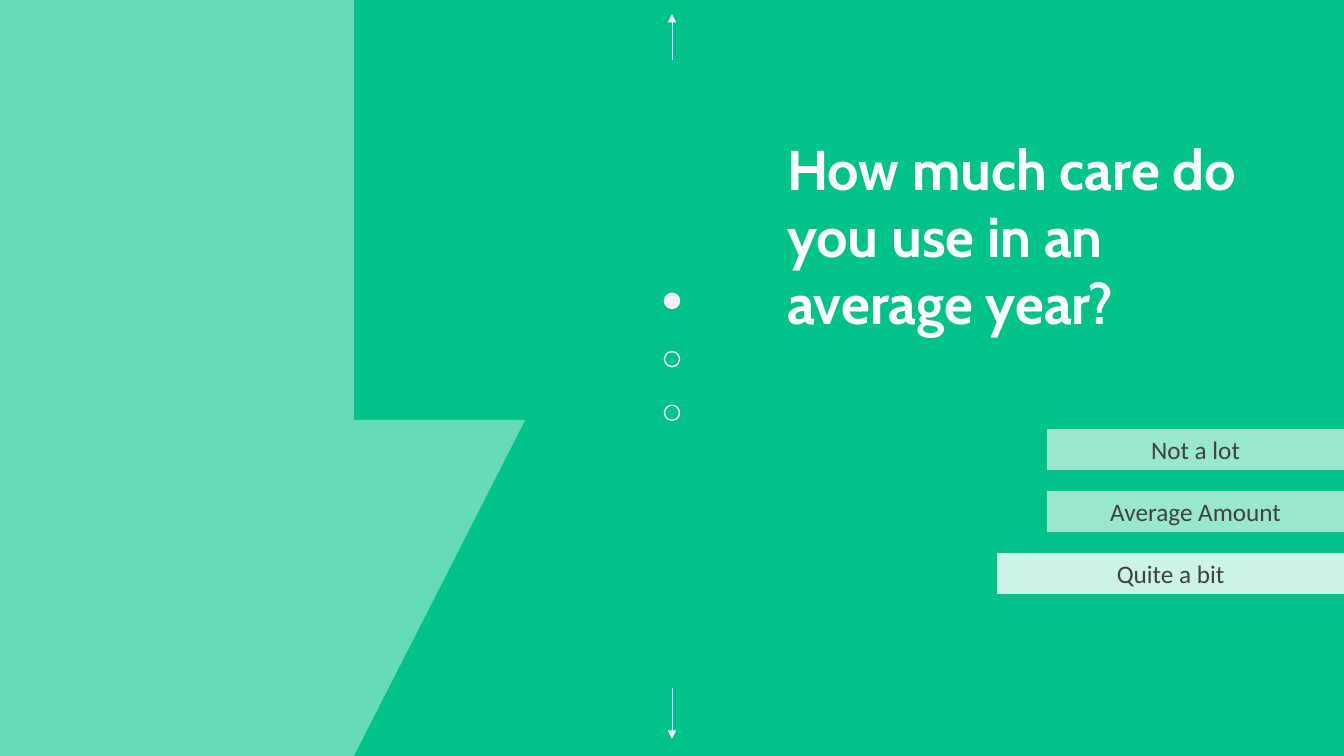
from dataclasses import dataclass

from lxml.etree import SubElement
from pptx import Presentation
from pptx.dml.color import RGBColor
from pptx.enum.shapes import MSO_CONNECTOR, MSO_SHAPE
from pptx.enum.text import MSO_ANCHOR, MSO_AUTO_SIZE, PP_ALIGN
from pptx.oxml.ns import qn
from pptx.util import Inches, Pt


@dataclass(frozen=True)
class Theme:
    """Colours, fonts and type sizes of the slide."""
    green: str = "00C389"
    mint: str = "66DBB8"
    white: str = "FFFFFF"
    dot: str = "F2F2F2"
    ink: str = "404040"
    title_font: str = "Cabin"
    answer_font: str = "Calibri"
    title_size: int = 40
    answer_size: int = 18


THEME = Theme()
WIDTH, HEIGHT = Inches(13.333), Inches(7.5)
CENTRE = 50
PANEL_WIDTH = 26.33


def col(columns):
    """Length of some of the slide's 100 columns."""
    return round(WIDTH * columns / 100)


def row(rows):
    """Length of some of the slide's 100 rows."""
    return round(HEIGHT * rows / 100)


def add_block(shapes, preset, left, top, width, height, fill=None, opacity=100):
    """Add a borderless preset shape, given in EMU; without fill it is hollow."""
    block = shapes.add_shape(preset, left, top, width, height)
    block.shadow.inherit = False
    block.line.fill.background()
    if fill is None:
        block.fill.background()
        return block
    block.fill.solid()
    block.fill.fore_color.rgb = RGBColor.from_string(fill)
    if opacity < 100:
        colour = block.element.spPr.find(qn("a:solidFill"))[0]
        SubElement(colour, qn("a:alpha"), val=str(opacity * 1000))
    return block


def add_words(paragraph, words, font, size, colour, bold=False):
    """Add one styled run to a paragraph."""
    run = paragraph.add_run()
    run.text = words
    run.font.name = font
    run.font.size = Pt(size)
    run.font.bold = bold
    run.font.color.rgb = RGBColor.from_string(colour)


def add_side_panel(shapes):
    """Add the pale panel with its wedge pointing down."""
    panel = shapes.add_group_shape().shapes
    add_block(panel, MSO_SHAPE.RECTANGLE, 0, 0, col(PANEL_WIDTH), HEIGHT,
              THEME.white, 40)
    wide, high = col(12.75), row(44.45)
    turn = (high - wide) // 2  # a quarter turn swaps width and height
    wedge = add_block(panel, MSO_SHAPE.RIGHT_TRIANGLE, col(PANEL_WIDTH) - turn,
                      HEIGHT - high + turn, high, wide, THEME.mint)
    wedge.rotation = 90


def add_question(shapes, lines):
    """Add the headline, one paragraph per line."""
    question = shapes.add_textbox(col(57.83), row(17.07), col(39.68), row(28.27))
    frame = question.text_frame
    frame.word_wrap = False
    frame.auto_size = MSO_AUTO_SIZE.SHAPE_TO_FIT_TEXT
    for index, line in enumerate(lines):
        paragraph = frame.add_paragraph() if index else frame.paragraphs[0]
        add_words(paragraph, line, THEME.title_font, THEME.title_size,
                  THEME.white, bold=True)


def add_answer(shapes, place, words, columns, opacity):
    """Add an answer bar that runs to the right edge."""
    answer = add_block(shapes, MSO_SHAPE.RECTANGLE, WIDTH - col(columns),
                       row(56.75 + 8.2 * place), col(columns), row(5.4),
                       THEME.white, opacity)
    answer.text_frame.vertical_anchor = MSO_ANCHOR.MIDDLE
    paragraph = answer.text_frame.paragraphs[0]
    paragraph.alignment = PP_ALIGN.CENTER
    add_words(paragraph, words, THEME.answer_font, THEME.answer_size, THEME.ink)


def add_scroll_arrow(shapes, start, end):
    """Add a thin arrow on the centre line, from one row to another."""
    arrow = shapes.add_connector(MSO_CONNECTOR.STRAIGHT, col(CENTRE), row(start),
                                 col(CENTRE), row(end))
    arrow.line.color.rgb = RGBColor.from_string(THEME.white)
    arrow.line.width = Pt(0.5)
    properties = arrow.element.spPr
    SubElement(properties.find(qn("a:ln")), qn("a:tailEnd"), type="triangle")
    SubElement(properties, qn("a:effectLst"))


def add_page_dots(shapes, middles, current):
    """Add the page dots on the centre line, the current one filled."""
    dots = shapes.add_group_shape().shapes
    size = row(2)
    for index, middle in enumerate(middles):
        dot = add_block(dots, MSO_SHAPE.OVAL, col(CENTRE) - size // 2,
                        row(middle) - size // 2, size, size,
                        THEME.dot if index == current else None)
        dot.line.color.rgb = RGBColor.from_string(THEME.white)
        dot.line.width = Pt(1)


def main():
    """Build the slide and save it."""
    deck = Presentation()
    deck.slide_width, deck.slide_height = WIDTH, HEIGHT
    shapes = deck.slides.add_slide(deck.slide_layouts[6]).shapes

    add_block(shapes, MSO_SHAPE.RECTANGLE, 0, 0, WIDTH, HEIGHT, THEME.green)
    add_question(shapes, ["How much care do", "you use in an", "average year?"])
    add_scroll_arrow(shapes, 91.07, 97.73)
    answers = [("Not a lot", 22.08, 60), ("Average Amount", 22.08, 60),
               ("Quite a bit", 25.8, 80)]
    for place, (words, columns, opacity) in enumerate(answers):
        add_answer(shapes, place, words, columns, opacity)
    add_side_panel(shapes)
    add_scroll_arrow(shapes, 8, 1.87)
    add_page_dots(shapes, [39.8, 47.5, 54.6], current=0)

    deck.save("out.pptx")


main()
